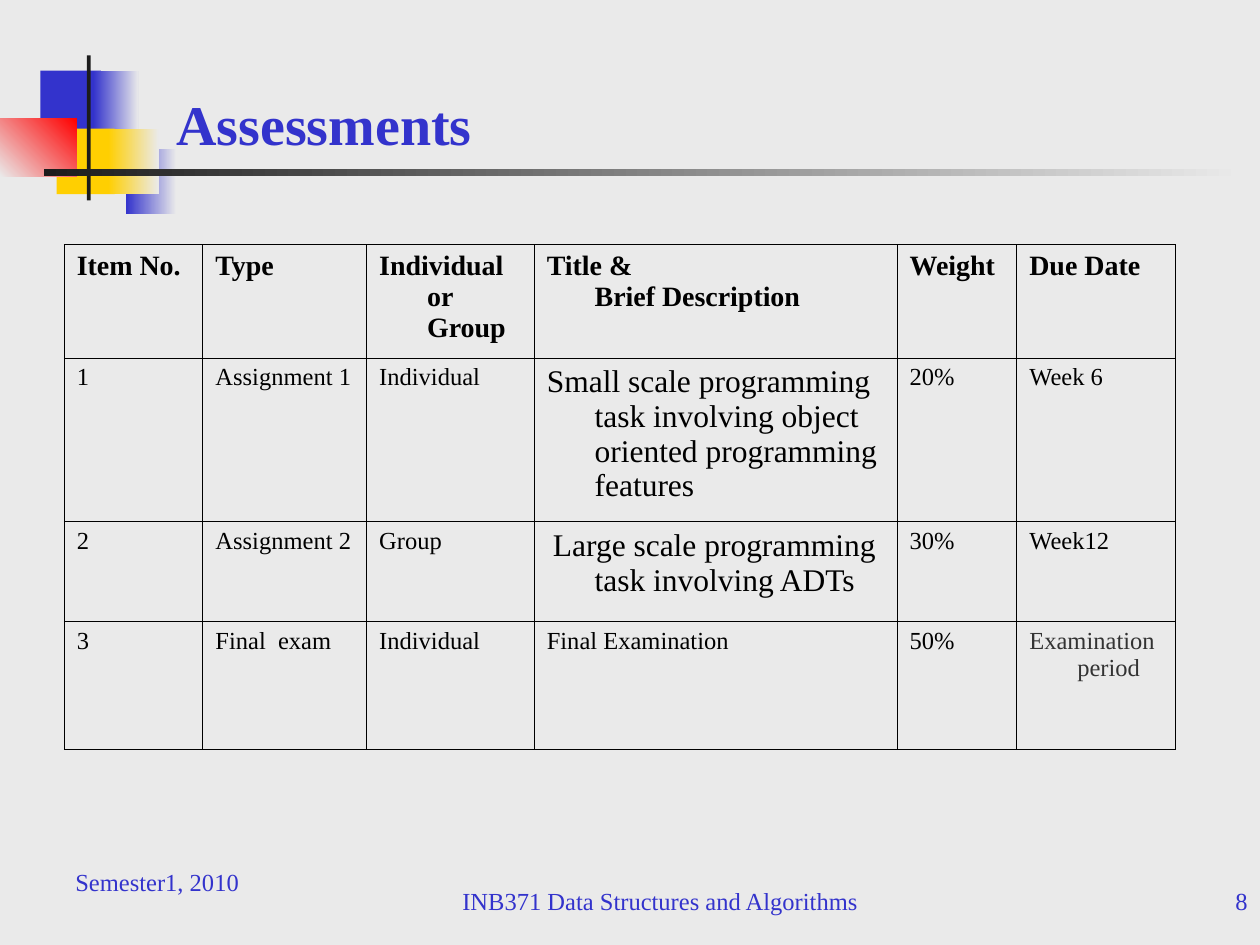
from lxml.etree import SubElement
from pptx import Presentation
from pptx.dml.color import RGBColor
from pptx.enum.shapes import MSO_SHAPE
from pptx.enum.text import MSO_ANCHOR, PP_ALIGN
from pptx.oxml.ns import qn
from pptx.util import Inches, Pt

BLUE = RGBColor(0x33, 0x33, 0xCC)
YELLOW = RGBColor(0xFF, 0xCF, 0x01)
RED = RGBColor(0xFF, 0x00, 0x00)
DARK = RGBColor(0x1C, 0x1C, 0x1C)
PALE = RGBColor(0xEA, 0xEA, 0xEA)
BLACK = RGBColor(0x00, 0x00, 0x00)
GRAY = RGBColor(0x33, 0x33, 0x33)
FONT = "Times New Roman"


def add_run(p, text, size, color, bold=False):
    r = p.add_run()
    r.text = text
    r.font.name = FONT
    r.font.size = Pt(size)
    r.font.bold = bold
    r.font.color.rgb = color


def add_border(cell):
    """Draw a thin black line on all four sides of a table cell."""
    tc_pr = cell._tc.get_or_add_tcPr()
    for i, side in enumerate(("a:lnL", "a:lnR", "a:lnT", "a:lnB")):
        ln = tc_pr.makeelement(qn(side), {"w": str(Pt(0.45))})
        tc_pr.insert(i, ln)
        fill = SubElement(ln, qn("a:solidFill"))
        SubElement(fill, qn("a:srgbClr"), val=str(BLACK))


prs = Presentation()
prs.slide_width, prs.slide_height = Inches(10), Inches(7.5)
s = prs.slides.add_slide(prs.slide_layouts[6])
s.background.fill.solid()
s.background.fill.fore_color.rgb = PALE

# Decoration: left, top, width, height, start colour, end colour, angle
blocks = [
    (1, 1.18, 0.4, 0.52, BLUE, PALE, 0),
    (0.32, 0.56, 0.48, 0.52, BLUE, None, 0),
    (0.74, 0.56, 0.36, 0.52, BLUE, PALE, 0),
    (0.45, 1.02, 0.46, 0.52, YELLOW, None, 0),
    (0.86, 1.02, 0.4, 0.52, YELLOW, PALE, 0),
    (0, 0.94, 0.61, 0.46, PALE, RED, 45),
    (0.69, 0.44, 0.03, 1.15, DARK, None, 0),
    (0.35, 1.34, 9.51, 0.06, DARK, PALE, 0),
]
for *box, start, end, angle in blocks:
    sp = s.shapes.add_shape(MSO_SHAPE.RECTANGLE, *map(Inches, box))
    sp.shadow.inherit = False
    sp.line.fill.background()
    if end is None:
        sp.fill.solid()
        sp.fill.fore_color.rgb = start
    else:
        sp.fill.gradient()
        sp.fill.gradient_angle = angle
        for stop, color in zip(sp.fill.gradient_stops, (start, end)):
            stop.color.rgb = color

# Title and footer: left, top, width, height, text, size, bold, alignment, anchor
texts = [
    (1.3, 0.21, 8.39, 1.08, "Assessments", 32, True, PP_ALIGN.LEFT, MSO_ANCHOR.BOTTOM),
    (0.5, 6.83, 2.33, 0.52, "Semester1, 2010", 14, False, PP_ALIGN.LEFT, MSO_ANCHOR.TOP),
    (3.05, 6.98, 4.38, 0.52, "INB371 Data Structures and Algorithms", 14, False,
     PP_ALIGN.CENTER, MSO_ANCHOR.TOP),
    (7.67, 6.98, 2.33, 0.52, "8", 14, False, PP_ALIGN.RIGHT, MSO_ANCHOR.TOP),
]
for *box, text, size, bold, align, anchor in texts:
    tf = s.shapes.add_textbox(*map(Inches, box)).text_frame
    tf.word_wrap = True
    tf.vertical_anchor = anchor
    p = tf.paragraphs[0]
    p.alignment = align
    add_run(p, text, size, BLUE, bold)

# Assessment table
col_widths = [1.1, 1.3, 1.33, 2.88, 0.95, 1.26]
row_heights = [0.9, 1.3, 0.79, 1.02]
rows = [
    ["Item No.", "Type", "Individual or Group", "Title &\nBrief Description",
     "Weight", "Due Date"],
    ["1", "Assignment 1", "Individual",
     "Small scale programming task involving object oriented programming features",
     "20%", "Week 6"],
    ["2", "Assignment 2", "Group", " Large scale programming task involving ADTs",
     "30%", "Week12"],
    ["3", "Final  exam", "Individual", "Final Examination", "50%", "Examination period"],
]
table = s.shapes.add_table(len(rows), len(col_widths), Inches(0.51), Inches(1.94),
                           Inches(sum(col_widths)), Inches(sum(row_heights))).table
table.first_row = table.horz_banding = False
for column, width in zip(table.columns, col_widths):
    column.width = Inches(width)
for row, height in zip(table.rows, row_heights):
    row.height = Inches(height)

for i, row in enumerate(rows):
    for j, text in enumerate(row):
        cell = table.cell(i, j)
        cell.fill.background()
        add_border(cell)
        p = cell.text_frame.paragraphs[0]
        p_pr = p._p.get_or_add_pPr()
        p_pr.set("marL", str(Inches(0.38)))
        p_pr.set("indent", str(Inches(-0.38)))
        is_task = j == 3 and i in (1, 2)
        size = 16 if i == 0 else 18 if is_task else 14
        color = GRAY if text == "Examination period" else BLACK
        if text.startswith(" "):
            add_run(p, " ", 14, color)
            text = text.lstrip()
        for n, line in enumerate(text.split("\n")):
            if n:
                p.add_line_break()
            add_run(p, line, size, color, bold=i == 0)

prs.save("out.pptx")
